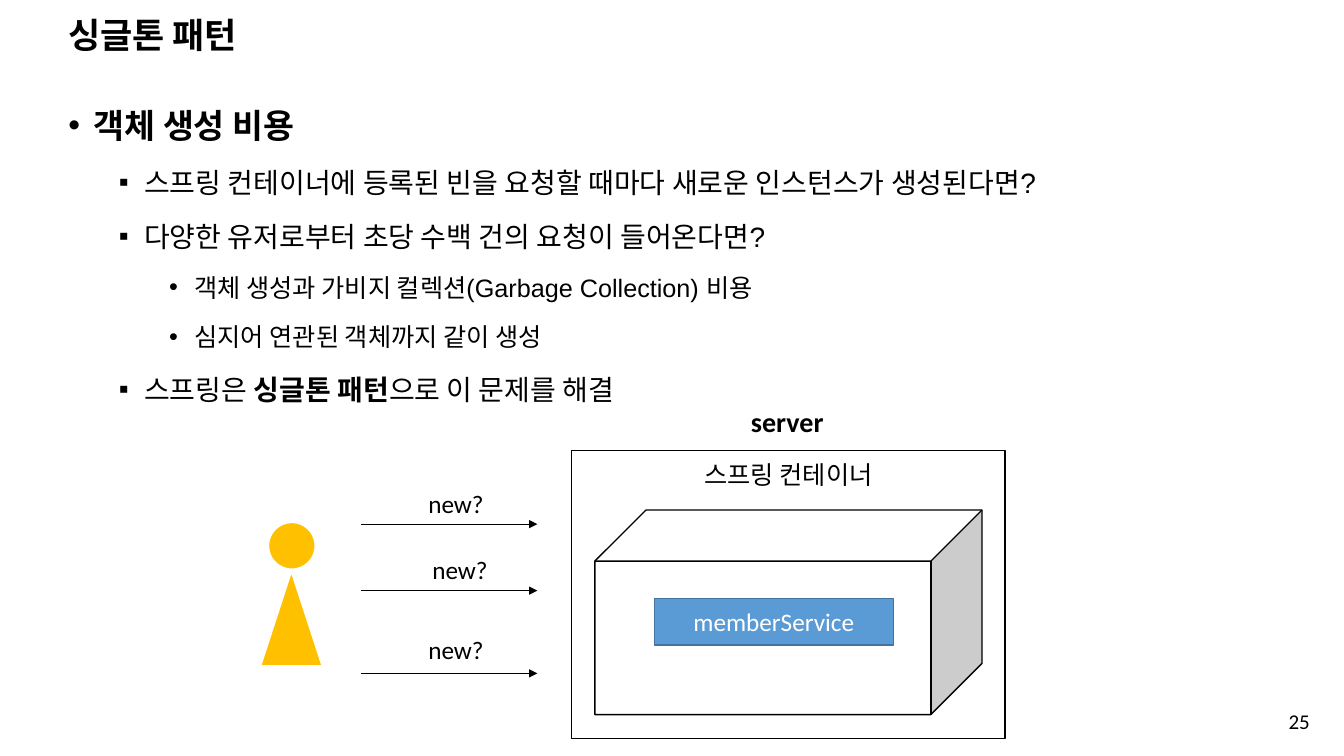
from lxml.etree import SubElement
from pptx import Presentation
from pptx.dml.color import RGBColor
from pptx.enum.shapes import MSO_CONNECTOR as Connector, MSO_SHAPE as Shape
from pptx.enum.text import MSO_ANCHOR as Anchor, MSO_AUTO_SIZE as AutoSize, PP_ALIGN as Align
from pptx.oxml.ns import qn
from pptx.util import Inches, Pt

BLACK, WHITE, AMBER = "000000", "FFFFFF", "FFC000"
LEVELS = [
    {"bullet": "•", "size": 24, "indent": 0.25, "before": 10},
    {"bullet": "▪", "size": 20, "indent": 0.75, "before": 5},
    {"bullet": "•", "size": 18, "indent": 1.25, "before": 5},
]
OUTLINE = [
    (0, [("객체 생성 비용", True)]),
    (1, [("스프링 컨테이너에 등록된 빈을 요청할 때마다 새로운 인스턴스가 생성된다면?", False)]),
    (1, [("다양한 유저로부터 초당 수백 건의 요청이 들어온다면?", False)]),
    (2, [("객체 생성과 가비지 컬렉션(Garbage Collection) 비용", False)]),
    (2, [("심지어 연관된 객체까지 같이 생성", False)]),
    (1, [("스프링은 ", False), ("싱글톤 패턴", True), ("으로 이 문제를 해결", False)]),
]
REQUESTS = [(5.2, 4.15, 4.8), (5.86, 4.19, 5.45), (6.68, 4.15, 6.24)]


def color(value):
    return RGBColor.from_string(value)


def add_run(paragraph, text, size=18, font="Calibri", fill=BLACK, bold=False):
    run = paragraph.add_run()
    run.text = text
    run.font.size = Pt(size)
    run.font.name = font
    run.font.bold = bold
    run.font.color.rgb = color(fill)


def add_text(slide, box, text, align=Align.LEFT, anchor=Anchor.TOP, wrap=True,
             grow=False, spacing=None, **run_format):
    frame = slide.shapes.add_textbox(*map(Inches, box)).text_frame
    frame.word_wrap = wrap
    frame.auto_size = AutoSize.SHAPE_TO_FIT_TEXT if grow else AutoSize.NONE
    frame.vertical_anchor = anchor
    paragraph = frame.paragraphs[0]
    paragraph.alignment = align
    paragraph.line_spacing = spacing
    add_run(paragraph, text, **run_format)


def add_bullet(paragraph, character, indent):
    properties = paragraph._p.get_or_add_pPr()
    properties.set("marL", str(Inches(indent)))
    properties.set("indent", str(Inches(-0.25)))
    SubElement(properties, qn("a:buFont")).set("typeface", "Arial")
    SubElement(properties, qn("a:buChar")).set("char", character)


def add_outline(slide, box, items):
    frame = slide.shapes.add_textbox(*map(Inches, box)).text_frame
    frame.word_wrap = True
    for index, (level, runs) in enumerate(items):
        style = LEVELS[level]
        paragraph = frame.add_paragraph() if index else frame.paragraphs[0]
        paragraph.level = level
        paragraph.line_spacing = 1.4
        paragraph.space_before = Pt(style["before"])
        add_bullet(paragraph, style["bullet"], style["indent"])
        for text, bold in runs:
            add_run(paragraph, text, size=style["size"], font="Arial", bold=bold)


def add_figure(slide, kind, box, fill=None, line=BLACK, width=1, text=None):
    shape = slide.shapes.add_shape(kind, *map(Inches, box))
    shape.shadow.inherit = False
    if fill:
        shape.fill.solid()
        shape.fill.fore_color.rgb = color(fill)
    else:
        shape.fill.background()
    shape.line.color.rgb = color(line)
    shape.line.width = Pt(width)
    if text:
        shape.text_frame.vertical_anchor = Anchor.MIDDLE
        paragraph = shape.text_frame.paragraphs[0]
        paragraph.alignment = Align.CENTER
        add_run(paragraph, text, fill=WHITE)


def add_arrow(slide, left, right, y):
    arrow = slide.shapes.add_connector(
        Connector.STRAIGHT, Inches(left), Inches(y), Inches(right), Inches(y))
    arrow.line.color.rgb = color(BLACK)
    arrow.line.width = Pt(0.5)
    SubElement(arrow.line._get_or_add_ln(), qn("a:tailEnd")).set("type", "triangle")
    SubElement(arrow._element.spPr, qn("a:effectLst"))


def add_server(slide):
    add_figure(slide, Shape.RECTANGLE, (5.67, 4.47, 4.3, 2.86))
    add_text(slide, (7.35, 3.96, 0.93, 0.44), "server",
             size=20, bold=True, wrap=False, grow=True)
    add_figure(slide, Shape.CUBE, (5.9, 5.06, 3.84, 2.03), fill=WHITE)
    add_text(slide, (6.04, 4.51, 3.56, 0.4), "스프링 컨테이너", align=Align.CENTER, grow=True)
    add_figure(slide, Shape.RECTANGLE, (6.49, 5.94, 2.37, 0.46),
               fill="5B9BD5", line="43739E", text="memberService")


def add_user(slide):
    for kind, box in [(Shape.OVAL, (2.66, 5.18, 0.47, 0.47)),
                      (Shape.ISOSCELES_TRIANGLE, (2.58, 5.66, 0.62, 0.95))]:
        add_figure(slide, kind, box, fill=AMBER, line=WHITE, width=1.5)


def main():
    presentation = Presentation()
    presentation.slide_width = Inches(13.33)
    presentation.slide_height = Inches(7.5)
    slide = presentation.slides.add_slide(presentation.slide_layouts[6])

    add_text(slide, (0.58, 0.18, 11.5, 0.38), "싱글톤 패턴", anchor=Anchor.MIDDLE,
             spacing=0.9, size=25, font="Arial", bold=True)
    add_outline(slide, (0.58, 0.83, 12.39, 6.43), OUTLINE)
    add_text(slide, (10.09, 6.95, 3, 0.4), "25", align=Align.RIGHT,
             anchor=Anchor.MIDDLE, size=15)
    add_server(slide)
    add_user(slide)
    for arrow_y, label_left, label_top in REQUESTS:
        add_arrow(slide, 3.58, 5.33, arrow_y)
        add_text(slide, (label_left, label_top, 0.76, 0.4), "new?", wrap=False, grow=True)

    presentation.save("out.pptx")


if __name__ == "__main__":
    main()
